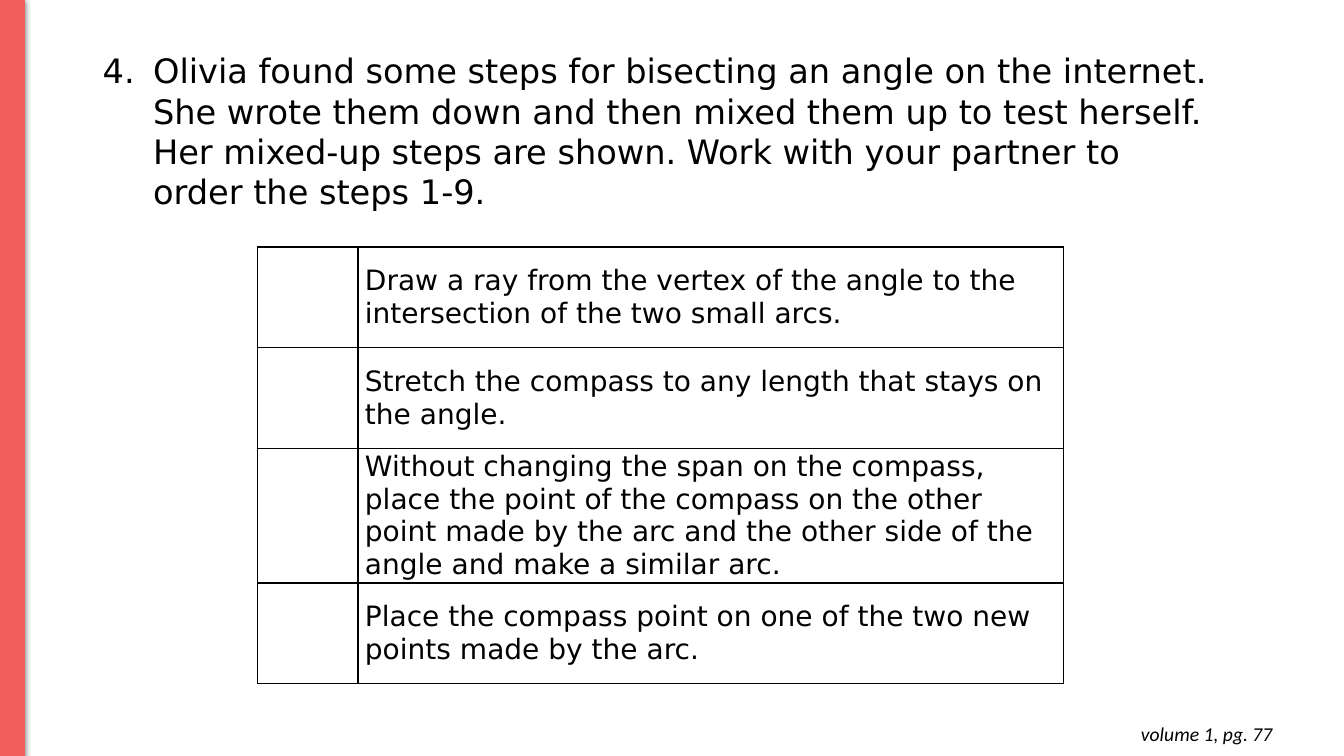
from pptx import Presentation
from pptx.dml.color import RGBColor
from pptx.enum.shapes import MSO_SHAPE as Shape
from pptx.enum.text import MSO_ANCHOR as Anchor, MSO_AUTO_SIZE as AutoSize, PP_ALIGN as Align
from pptx.oxml import parse_xml
from pptx.oxml.ns import nsdecls
from pptx.util import Inches, Pt

BLACK = "000000"
CORAL = "F25E5B"
BODY_FONT = "DejaVu Sans"

QUESTION = (
    "Olivia found some steps for bisecting an angle on the internet. "
    "She wrote them down and then mixed them up to test herself. "
    "Her mixed-up steps are shown. Work with your partner to order the steps 1-9."
)
STEPS = [
    ("Draw a ray from the vertex of the angle to the intersection of the two small arcs.", 1),
    ("Stretch the compass to any length that stays on the angle.", 1),
    ("Without changing the span on the compass, place the point of the compass on the other "
     "point made by the arc and the other side of the angle and make a similar arc.", 1.33),
    ("Place the compass point on one of the two new points made by the arc.", 1),
]


def color(hex_text):
    return RGBColor.from_string(hex_text)


def xml(tag_text):
    """Turn one drawing element, written with the a: prefix, into XML."""
    head, mark, rest = tag_text.partition(">")
    if head.endswith("/"):
        return parse_xml(f"{head[:-1]} {nsdecls('a')}/{mark}{rest}")
    return parse_xml(f"{head} {nsdecls('a')}{mark}{rest}")


def write(frame, text, size, font=BODY_FONT, italic=False, align=Align.LEFT):
    """Put one formatted run in the first paragraph and return the paragraph."""
    para = frame.paragraphs[0]
    para.alignment = align
    span = para.add_run()
    span.text = text
    span.font.name = font
    span.font.size = Pt(size)
    span.font.italic = italic
    span.font.color.rgb = color(BLACK)
    return para


def add_text_box(page, left, top, width, height):
    box = page.shapes.add_textbox(Inches(left), Inches(top), Inches(width), Inches(height))
    frame = box.text_frame
    frame.word_wrap = True
    frame.auto_size = AutoSize.SHAPE_TO_FIT_TEXT
    return frame


def add_page_reference(page, left, top, width, height):
    frame = add_text_box(page, left, top, width, height)
    frame.margin_left = frame.margin_right = Inches(0.1)
    frame.margin_top = frame.margin_bottom = Inches(0.1)
    write(frame, "volume 1, pg. 77", 14, font="Calibri", italic=True, align=Align.RIGHT)


def add_question(page, left, top, width, height, number):
    frame = add_text_box(page, left, top, width, height)
    para = write(frame, QUESTION, 24)
    props = para._p.get_or_add_pPr()
    props.set("marL", str(Inches(0.5)))
    props.set("indent", str(Inches(-0.5)))
    props.append(xml(f'<a:buClr><a:srgbClr val="{BLACK}"/></a:buClr>'))
    props.append(xml(f'<a:buAutoNum type="arabicPeriod" startAt="{number}"/>'))


def add_side_bar(page, left, top, width, height):
    bar = page.shapes.add_shape(
        Shape.RECTANGLE, Inches(left), Inches(top), Inches(width), Inches(height))
    bar.fill.solid()
    bar.fill.fore_color.rgb = color(CORAL)
    bar.line.color.rgb = color(CORAL)
    bar.line.width = Pt(0.75)
    bar.shadow.inherit = False
    effects = bar._element.spPr.find(".//{*}effectLst")
    effects.append(xml(
        f'<a:outerShdw blurRad="{Pt(4.5)}" dist="{Pt(1.5)}" dir="5400000" rotWithShape="0">'
        f'<a:srgbClr val="{BLACK}"><a:alpha val="50000"/></a:srgbClr></a:outerShdw>'))


def format_cell(cell):
    cell.fill.background()
    cell.vertical_anchor = Anchor.MIDDLE
    cell.margin_left = cell.margin_right = Inches(0.07)
    cell.margin_top = cell.margin_bottom = 0
    props = cell._tc.get_or_add_tcPr()
    for place, side in enumerate("LRTB"):
        props.insert(place, xml(
            f'<a:ln{side} w="{Pt(1)}"><a:solidFill><a:srgbClr val="{BLACK}"/>'
            f'</a:solidFill></a:ln{side}>'))


def add_steps_table(page, left, top, width, height):
    table = page.shapes.add_table(
        len(STEPS), 2, Inches(left), Inches(top), Inches(width), Inches(height)).table
    table.first_row = table.horz_banding = False
    table.columns[0].width = Inches(1)
    table.columns[1].width = Inches(width - 1)
    for row, (step, row_height) in zip(table.rows, STEPS):
        row.height = Inches(row_height)
        for cell in row.cells:
            format_cell(cell)
        write(row.cells[1].text_frame, step, 20)


def main():
    deck = Presentation()
    deck.slide_width = Inches(13.33)
    deck.slide_height = Inches(7.5)
    page = deck.slides.add_slide(deck.slide_layouts[6])
    add_page_reference(page, 9.84, 7.06, 2.88, 0.44)
    add_question(page, 0.92, 0.45, 11.26, 1.72, number=4)
    add_side_bar(page, 0, -0.01, 0.24, 7.51)
    add_steps_table(page, 2.55, 2.45, 8, 4.33)
    deck.save("out.pptx")


if __name__ == "__main__":
    main()
